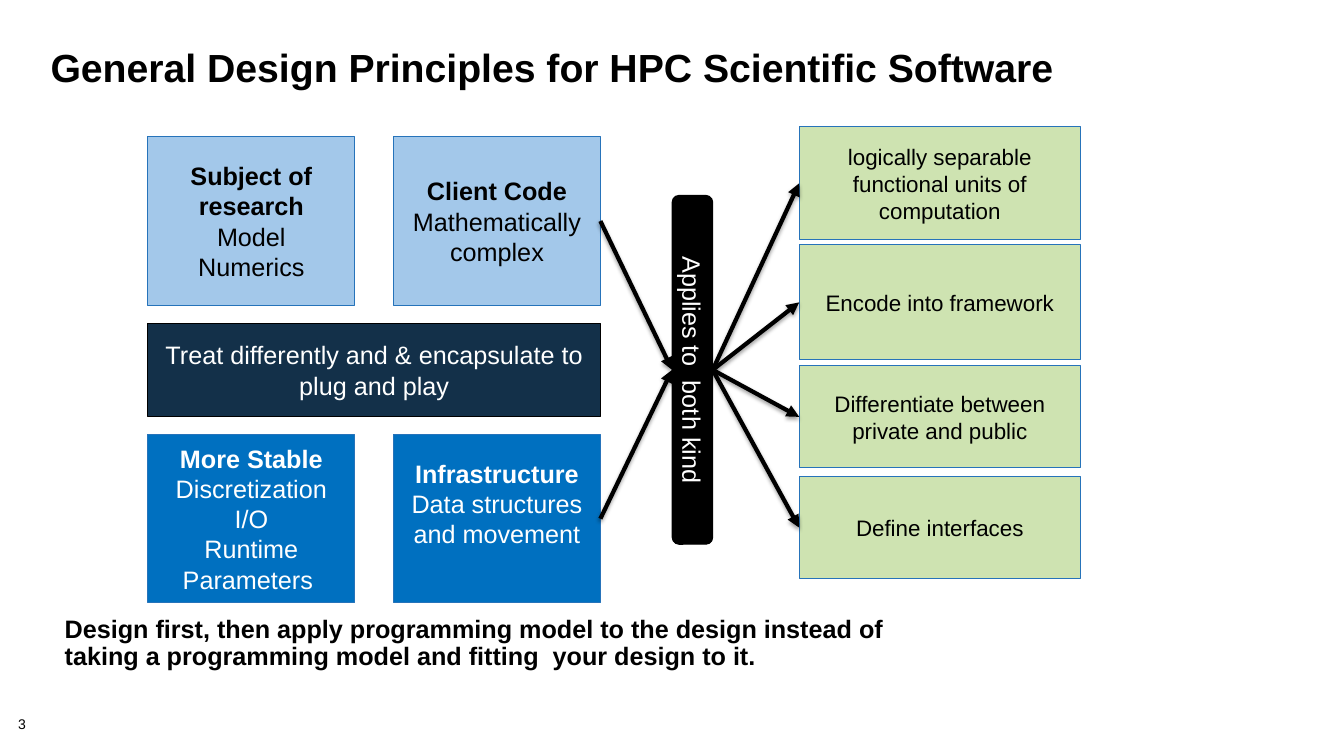
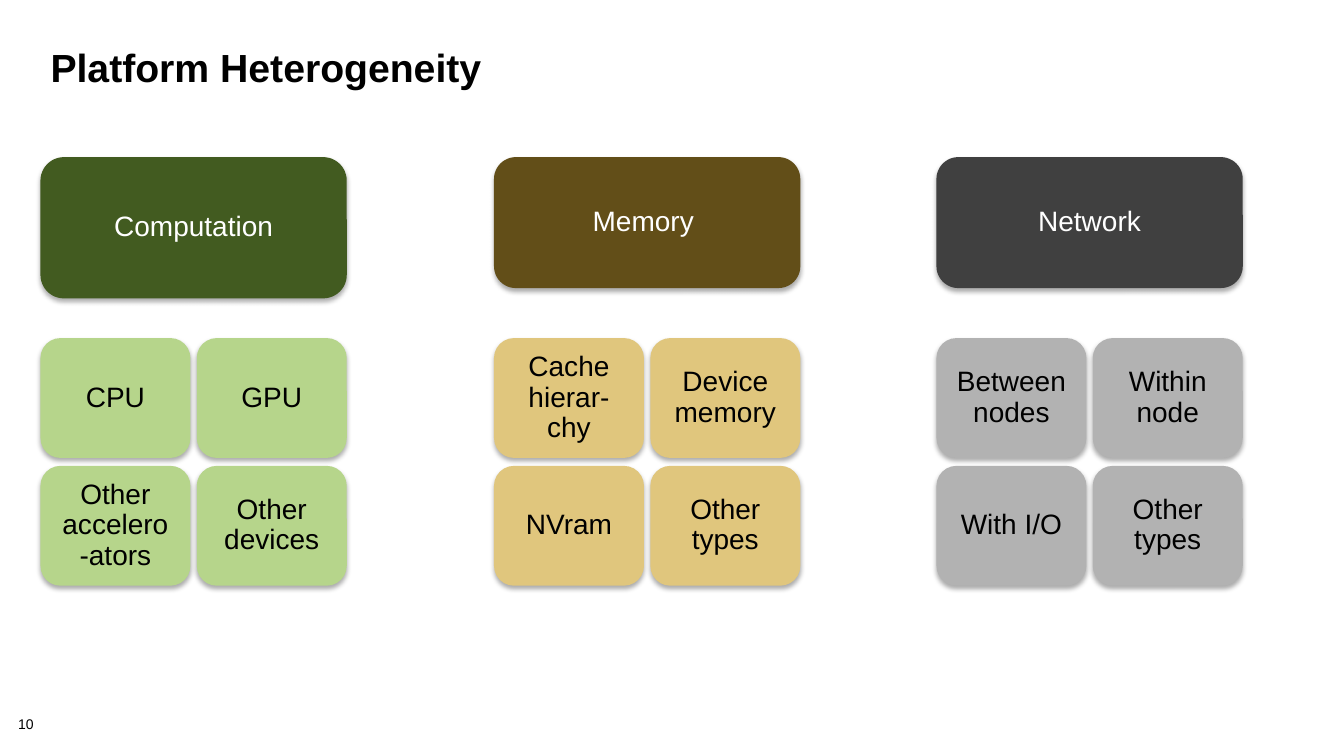
from lxml import etree
from pptx import Presentation
from pptx.dml.color import RGBColor
from pptx.enum.shapes import MSO_CONNECTOR, MSO_SHAPE
from pptx.enum.text import MSO_ANCHOR, MSO_AUTO_SIZE, PP_ALIGN
from pptx.oxml.ns import qn
from pptx.util import Cm, Pt

RECT, ROUND = MSO_SHAPE.RECTANGLE, MSO_SHAPE.ROUNDED_RECTANGLE
STRAIGHT = MSO_CONNECTOR.STRAIGHT
LEFT, CENTER = PP_ALIGN.LEFT, PP_ALIGN.CENTER
TOP, MIDDLE = MSO_ANCHOR.TOP, MSO_ANCHOR.MIDDLE
NO_FIT = MSO_AUTO_SIZE.NONE
LEFT_SITE, RIGHT_SITE = 1, 3

FONT = "Arial"
BLACK = RGBColor(0x00, 0x00, 0x00)
WHITE = RGBColor(0xFF, 0xFF, 0xFF)
EDGE_BLUE = RGBColor(0x26, 0x73, 0xBA)
PALE_BLUE = RGBColor(0xA3, 0xC8, 0xEA)
STRONG_BLUE = RGBColor(0x00, 0x70, 0xC0)
NAVY = RGBColor(0x13, 0x30, 0x49)
PALE_GREEN = RGBColor(0xCE, 0xE3, 0xB1)
DARK_GREEN = RGBColor(0x42, 0x5B, 0x20)
GREEN = RGBColor(0xB6, 0xD5, 0x8B)
DARK_GOLD = RGBColor(0x62, 0x4E, 0x18)
GOLD = RGBColor(0xE0, 0xC6, 0x7D)
DARK_GREY = RGBColor(0x40, 0x40, 0x40)
GREY = RGBColor(0xB2, 0xB2, 0xB2)


def write(tf, lines, size, color, align=LEFT, spacing=1.0, bold_first=False):
    """Fill a text frame with one paragraph per line."""
    tf.word_wrap = True
    tf.auto_size = NO_FIT
    for i, line in enumerate(lines):
        p = tf.paragraphs[0] if i == 0 else tf.add_paragraph()
        p.alignment = align
        p.line_spacing = spacing
        r = p.add_run()
        r.text = line
        r.font.name = FONT
        r.font.size = Pt(size)
        r.font.bold = bold_first and i == 0
        r.font.color.rgb = color


def set_insets(tf, x, y):
    """Set the side and the top and bottom insets."""
    tf.margin_left = tf.margin_right = Cm(x)
    tf.margin_top = tf.margin_bottom = Cm(y)


def add_shadow(s, blur, dist, alpha):
    """Give a shape or connector a soft black shadow straight below."""
    effects = s._element.spPr.get_or_add_effectLst()
    shadow = etree.SubElement(effects, qn("a:outerShdw"), blurRad=str(Pt(blur)),
                              dist=str(Pt(dist)), dir="5400000", rotWithShape="0")
    color = etree.SubElement(shadow, qn("a:srgbClr"), val=str(BLACK))
    etree.SubElement(color, qn("a:alpha"), val=str(alpha * 1000))


def add_box(slide, kind, x, y, w, h, fill, edge=None):
    """Add a filled shape without shadow, with an optional thin edge."""
    s = slide.shapes.add_shape(kind, Cm(x), Cm(y), Cm(w), Cm(h))
    s.shadow.inherit = False
    s.fill.solid()
    s.fill.fore_color.rgb = fill
    if edge is None:
        s.line.fill.background()
    else:
        s.line.color.rgb = edge
        s.line.width = Pt(0.75)
    s.text_frame.vertical_anchor = MIDDLE
    return s


def add_text(slide, x, y, w, h, inset, lines, size, **style):
    """Add a plain black text box."""
    tf = slide.shapes.add_textbox(Cm(x), Cm(y), Cm(w), Cm(h)).text_frame
    set_insets(tf, *inset)
    write(tf, lines, size, BLACK, spacing=0.9, **style)
    return tf


def add_slide(prs, title, number):
    """Add a slide with its title and page number."""
    slide = prs.slides.add_slide(prs.slide_layouts[5])
    sp = slide.shapes.title
    sp.left, sp.top, sp.width, sp.height = Cm(1.02), Cm(1.14), Cm(31.6), Cm(2.54)
    sp.text_frame.vertical_anchor = TOP
    write(sp.text_frame, [title], 28, BLACK, spacing=0.85, bold_first=True)
    add_text(slide, 0.46, 18.08, 1.42, 0.41, (0, 0), [number], 10)
    return slide


def add_code_grid(slide, x, y, w, h):
    """Draw the four kinds of code around a band; return the right-hand boxes."""
    box_w, box_h, band_h = 5.21, 4.24, 2.34
    right, low = x + w - box_w, y + h - box_h
    cells = [
        (x, y, PALE_BLUE, BLACK, ["Subject of research", "Model", "Numerics"]),
        (x, low, STRONG_BLUE, WHITE,
         ["More Stable", "Discretization", "I/O", "Runtime Parameters "]),
        (right, y, PALE_BLUE, BLACK, ["Client Code", "Mathematically complex"]),
        (right, low, STRONG_BLUE, WHITE,
         ["Infrastructure", "Data structures and movement"]),
    ]
    boxes = []
    for left, top, fill, color, lines in cells:
        s = add_box(slide, RECT, left, top, box_w, box_h, fill, EDGE_BLUE)
        write(s.text_frame, lines, 18, color, CENTER, bold_first=True)
        boxes.append(s)
    infrastructure = boxes[-1]
    infrastructure.text_frame.margin_bottom = Cm(0.89)
    band = add_box(slide, RECT, x, y + (h - band_h) / 2, w, band_h, NAVY, BLACK)
    write(band.text_frame, ["Treat differently and & encapsulate to plug and play"],
          18, WHITE, CENTER)
    return boxes[2:]


def add_principles(slide, x, y, w):
    """Stack the principle boxes and return them."""
    rows = [
        (0, 2.84, "logically separable functional units of computation"),
        (2.97, 2.9, "Encode into framework"),
        (6.02, 2.57, "Differentiate between private and public"),
        (8.81, 2.57, "Define interfaces"),
    ]
    boxes = []
    for offset, h, text in rows:
        s = add_box(slide, RECT, x, y + offset, w, h, PALE_GREEN, EDGE_BLUE)
        write(s.text_frame, [text], 16, BLACK, CENTER)
        boxes.append(s)
    return boxes


def add_arrow(slide, x, y):
    """Add a thick black arrow lying at one point, ready to be attached."""
    c = slide.shapes.add_connector(STRAIGHT, Cm(x), Cm(y), Cm(x), Cm(y))
    c.line.color.rgb = BLACK
    c.line.width = Pt(3)
    etree.SubElement(c.line._get_or_add_ln(), qn("a:tailEnd"), type="triangle")
    add_shadow(c, 3.1, 1.6, 38)
    return c


def add_hub(slide, cx, cy, length, thick, sources, targets):
    """Draw the upright bar with arrows from the sources and to the targets."""
    bar = add_box(slide, ROUND, cx - length / 2, cy - thick / 2, length, thick,
                  BLACK, BLACK)
    bar.rotation = 90
    write(bar.text_frame, ["Applies to  both kind"], 18, WHITE, CENTER)
    for s in sources:
        add_arrow(slide, cx - thick / 2, cy).begin_connect(s, RIGHT_SITE)
    for s in targets:
        add_arrow(slide, cx + thick / 2, cy).end_connect(s, LEFT_SITE)


def add_tile(slide, x, y, w, h, fill, color, text):
    """Add a shadowed rounded tile with centred text."""
    s = add_box(slide, ROUND, x, y, w, h, fill)
    add_shadow(s, 3.5, 2.2, 32)
    set_insets(s.text_frame, 0.33, 0.18)
    write(s.text_frame, [text], 20, color, CENTER, spacing=0.9)


def add_category(slide, x, y, w, head_h, dark, light, head, items):
    """Draw a heading tile above a two-by-two grid of tiles."""
    gap_x, gap_y, tile_h, grid_top = 0.16, 0.2, 3.02, 4.56
    tile_w = (w - gap_x) / 2
    add_tile(slide, x, y, w, head_h, dark, WHITE, head)
    for i, text in enumerate(items):
        row, col = divmod(i, 2)
        add_tile(slide, x + col * (tile_w + gap_x),
                 y + grid_top + row * (tile_h + gap_y),
                 tile_w, tile_h, light, BLACK, text)


def build_principles(prs):
    """Build the design principles slide."""
    slide = add_slide(prs, "General Design Principles for HPC Scientific Software", "3")
    tf = add_text(slide, 1.3, 15.27, 21.77, 1.91, (0.33, 0.25),
                  ["Design first, then apply programming model to the design instead "
                   "of taking a programming model and fitting  your design to it."],
                  18, bold_first=True)
    tf.vertical_anchor = MIDDLE
    sources = add_code_grid(slide, 3.73, 3.45, 11.4, 11.74)
    targets = add_principles(slide, 20.14, 3.2, 7.09)
    add_hub(slide, 17.45, 9.32, 8.79, 1.02, sources, targets)


def build_platforms(prs):
    """Build the platform heterogeneity slide."""
    slide = add_slide(prs, "Platform Heterogeneity", "10")
    categories = [
        (1.02, 3.56, DARK_GREEN, GREEN, "Computation",
         ["CPU", "GPU", "Other accelero-ators", "Other devices"]),
        (12.45, 3.3, DARK_GOLD, GOLD, "Memory ",
         ["Cache hierar-chy", "Device memory", "NVram", "Other types"]),
        (23.6, 3.3, DARK_GREY, GREY, "Network",
         ["Between nodes", "Within node", "With I/O", "Other types"]),
    ]
    for x, head_h, dark, light, head, items in categories:
        add_category(slide, x, 3.96, 7.72, head_h, dark, light, head, items)


def main():
    """Build and save the presentation."""
    prs = Presentation()
    prs.slide_width, prs.slide_height = Cm(33.87), Cm(19.05)
    build_principles(prs)
    build_platforms(prs)
    prs.save("out.pptx")


if __name__ == "__main__":
    main()
